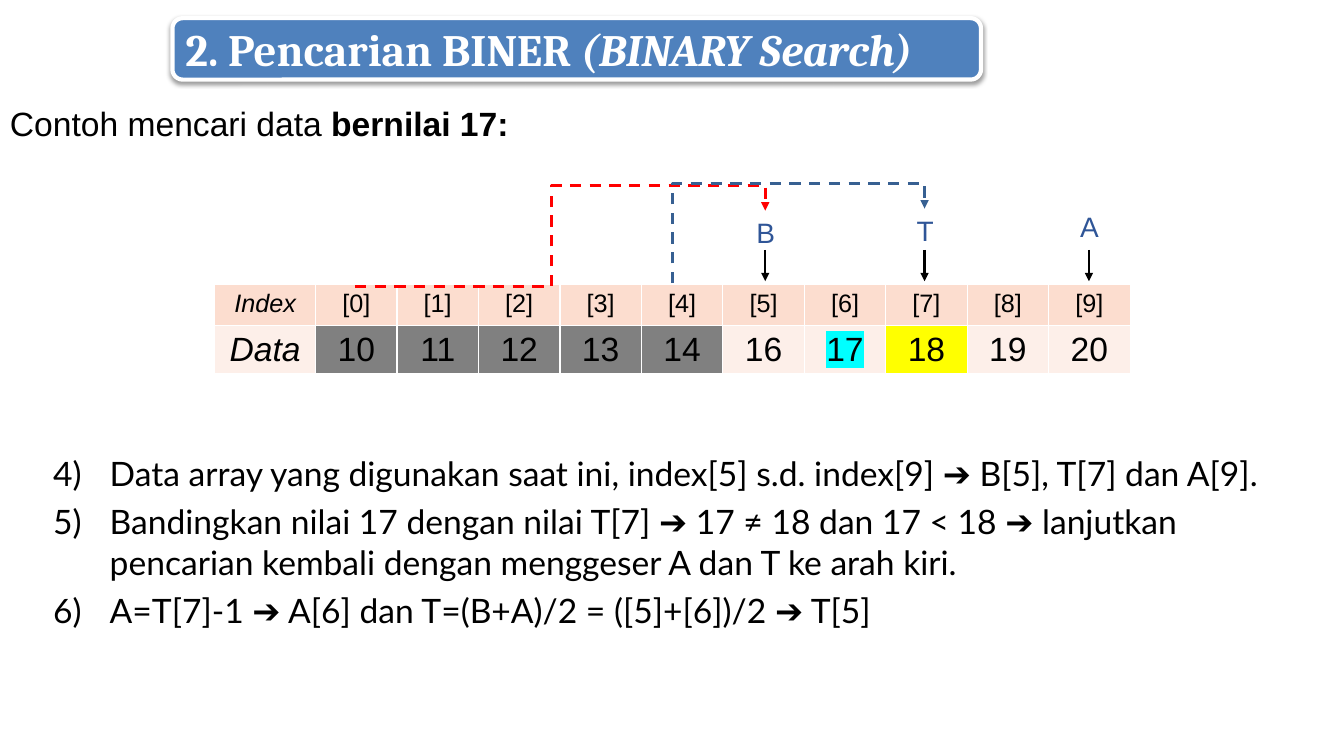
from dataclasses import dataclass

from lxml.etree import Element, SubElement
from pptx import Presentation
from pptx.dml.color import RGBColor
from pptx.enum.dml import MSO_LINE
from pptx.enum.shapes import MSO_CONNECTOR, MSO_SHAPE
from pptx.enum.text import MSO_ANCHOR, MSO_AUTO_SIZE, PP_ALIGN
from pptx.oxml.ns import qn
from pptx.util import Inches, Pt


@dataclass(frozen=True)
class Theme:
    title_fill: str = "4F81BD"
    white: str = "FFFFFF"
    black: str = "000000"
    label: str = "2F5597"
    low_path: str = "FF0000"
    middle_path: str = "376092"
    header: str = "FCDDCF"
    cell: str = "FDEFE9"
    discarded: str = "808080"
    middle: str = "FFFF00"
    target: str = "00FFFF"
    title_font: str = "Cambria"
    table_font: str = "Arial"
    body_font: str = "Lato"
    title_size: int = 32
    body_size: int = 24
    label_size: int = 20
    index_size: int = 18


THEME = Theme()
VALUES = [10, 11, 12, 13, 14, 16, 17, 18, 19, 20]
LOW, MIDDLE, TARGET = 5, 7, 17
STEPS = [
    "Data array yang digunakan saat ini, index[5] s.d. index[9] ➔ B[5], T[7] dan A[9].",
    "Bandingkan nilai 17 dengan nilai T[7] ➔ 17 ≠ 18 dan 17 < 18 ➔ lanjutkan "
    "pencarian kembali dengan menggeser A dan T ke arah kiri.",
    "A=T[7]-1 ➔ A[6] dan T=(B+A)/2 = ([5]+[6])/2 ➔ T[5]",
]


def color(value):
    return RGBColor.from_string(value)


def add_span(para, text, font, size, tint=THEME.black, bold=False, italic=False):
    span = para.add_run()
    span.text = text
    span.font.name = font
    span.font.size = Pt(size)
    span.font.color.rgb = color(tint)
    span.font.bold = bold
    span.font.italic = italic
    return span


def add_text_box(slide, box, wrap=True):
    frame = slide.shapes.add_textbox(*map(Inches, box)).text_frame
    frame.word_wrap = wrap
    frame.auto_size = MSO_AUTO_SIZE.SHAPE_TO_FIT_TEXT
    return frame


def add_title(slide, box):
    banner = slide.shapes.add_shape(MSO_SHAPE.ROUNDED_RECTANGLE, *map(Inches, box))
    banner.fill.solid()
    banner.fill.fore_color.rgb = color(THEME.title_fill)
    banner.line.color.rgb = color(THEME.white)
    banner.line.width = Pt(3)
    banner.shadow.inherit = False
    effects = banner.element.spPr.find(qn("a:effectLst"))
    shadow = SubElement(effects, qn("a:outerShdw"), blurRad=str(Pt(3.1)),
                        dist=str(Pt(1.6)), dir="5400000", rotWithShape="0")
    tint = SubElement(shadow, qn("a:srgbClr"), val=THEME.black)
    SubElement(tint, qn("a:alpha"), val="38000")
    banner.text_frame.vertical_anchor = MSO_ANCHOR.MIDDLE
    para = banner.text_frame.paragraphs[0]
    para.alignment = PP_ALIGN.LEFT
    for text, italic in (("2. Pencarian BINER ", False), ("(BINARY Search)", True)):
        add_span(para, text, THEME.title_font, THEME.title_size, THEME.white, True, italic)


def add_intro(slide, box):
    para = add_text_box(slide, box).paragraphs[0]
    para.alignment = PP_ALIGN.JUSTIFY
    for text, bold in (("Contoh mencari data ", False), ("bernilai 17:", True)):
        add_span(para, text, THEME.table_font, THEME.body_size, bold=bold)


def style_cell(cell, text, fill, size, italic):
    cell.fill.solid()
    cell.fill.fore_color.rgb = color(fill)
    properties = cell._tc.get_or_add_tcPr()
    for position, side in enumerate(("lnL", "lnR", "lnT", "lnB")):
        border = Element(qn(f"a:{side}"), w=str(Pt(1)))
        paint = SubElement(border, qn("a:solidFill"))
        SubElement(paint, qn("a:srgbClr"), val=THEME.white)
        properties.insert(position, border)
    para = cell.text_frame.paragraphs[0]
    para.alignment = PP_ALIGN.CENTER
    return add_span(para, text, THEME.table_font, size, italic=italic)


def highlight(span, tint):
    mark = Element(qn("a:highlight"))
    SubElement(mark, qn("a:srgbClr"), val=tint)
    span.font._element.find(qn("a:solidFill")).addnext(mark)


def data_fill(index):
    if index < LOW:
        return THEME.discarded
    return THEME.middle if index == MIDDLE else THEME.cell


def add_array(slide, box):
    left, top, width, height = box
    table = slide.shapes.add_table(2, len(VALUES) + 1, *map(Inches, box)).table
    table.rows[0].height = Inches(0.41)
    table.rows[1].height = Inches(height - 0.41)
    table.columns[0].width = Inches(1)
    style_cell(table.cell(0, 0), "Index", THEME.header, THEME.index_size, True)
    style_cell(table.cell(1, 0), "Data", THEME.cell, THEME.body_size, True)
    for index, value in enumerate(VALUES):
        column = index + 1
        table.columns[column].width = Inches((width - 1) / len(VALUES))
        style_cell(table.cell(0, column), f"[{index}]", THEME.header, THEME.index_size, False)
        span = style_cell(table.cell(1, column), str(value), data_fill(index),
                          THEME.body_size, False)
        if value == TARGET:
            highlight(span, THEME.target)


def add_arrow(slide, kind, begin, end, tint, width):
    arrow = slide.shapes.add_connector(kind, *map(Inches, (*begin, *end)))
    arrow.line.color.rgb = color(tint)
    arrow.line.width = Pt(width)
    SubElement(arrow.line._get_or_add_ln(), qn("a:tailEnd"), type="triangle")
    SubElement(arrow.element.spPr, qn("a:effectLst"))
    return arrow


def add_elbow(slide, begin, end, tint, preset, bends, rotation=0):
    elbow = add_arrow(slide, MSO_CONNECTOR.ELBOW, begin, end, tint, 2)
    elbow.line.dash_style = MSO_LINE.DASH
    properties = elbow.element.spPr
    properties.find(qn("a:xfrm")).set("rot", str(rotation * 60000))
    geometry = properties.find(qn("a:prstGeom"))
    geometry.set("prst", preset)
    guides = geometry.find(qn("a:avLst"))
    for number, bend in enumerate(bends, 1):
        SubElement(guides, qn("a:gd"), name=f"adj{number}", fmla=f"val {round(bend * 100000)}")


def add_pointers(slide, box):
    left, top, width, height = box
    bottom = top + height
    for letter, center, label_top in (("B", 7.59, 2.09), ("A", 10.8, 2.03), ("T", 9.17, 2.07)):
        frame = add_text_box(slide, (center - 0.19, label_top, 0.39, 0.44), wrap=False)
        para = frame.paragraphs[0]
        para.alignment = PP_ALIGN.CENTER
        add_span(para, letter, THEME.table_font, THEME.label_size, THEME.label)
        add_arrow(slide, MSO_CONNECTOR.STRAIGHT, (center, bottom - 0.34),
                  (center, bottom - 0.03), THEME.black, 1.75)
    add_elbow(slide, (left, bottom + 0.02), (7.59, 2.09), THEME.low_path,
              "bentConnector4", (0.48, 1.33))
    add_elbow(slide, (8.29, 3.69), (7.55, 1.19), THEME.middle_path,
              "bentConnector3", (1.34,), rotation=90)


def add_steps(slide, box):
    frame = add_text_box(slide, box)
    for number, step in enumerate(STEPS):
        para = frame.add_paragraph() if number else frame.paragraphs[0]
        para.space_after = Pt(6)
        properties = para._p.get_or_add_pPr()
        properties.set("marL", str(Inches(0.56)))
        properties.set("indent", str(-Inches(0.56)))
        SubElement(properties, qn("a:buFont"), typeface="+mj-lt")
        SubElement(properties, qn("a:buAutoNum"), type="arabicParenR", startAt="4")
        add_span(para, step, THEME.body_font, THEME.body_size)


def main():
    deck = Presentation()
    deck.slide_width, deck.slide_height = Inches(13.33), Inches(7.5)
    page = deck.slides.add_slide(deck.slide_layouts[6])
    add_title(page, (1.71, 0.18, 8.02, 0.61))
    add_array(page, (2.13, 2.82, 9.08, 0.88))
    add_steps(page, (0.43, 4.44, 12.47, 1.88))
    add_intro(page, (0, 0.97, 12.47, 0.5))
    add_pointers(page, (3.52, 1.82, 7.28, 1))
    deck.save("out.pptx")


if __name__ == "__main__":
    main()
